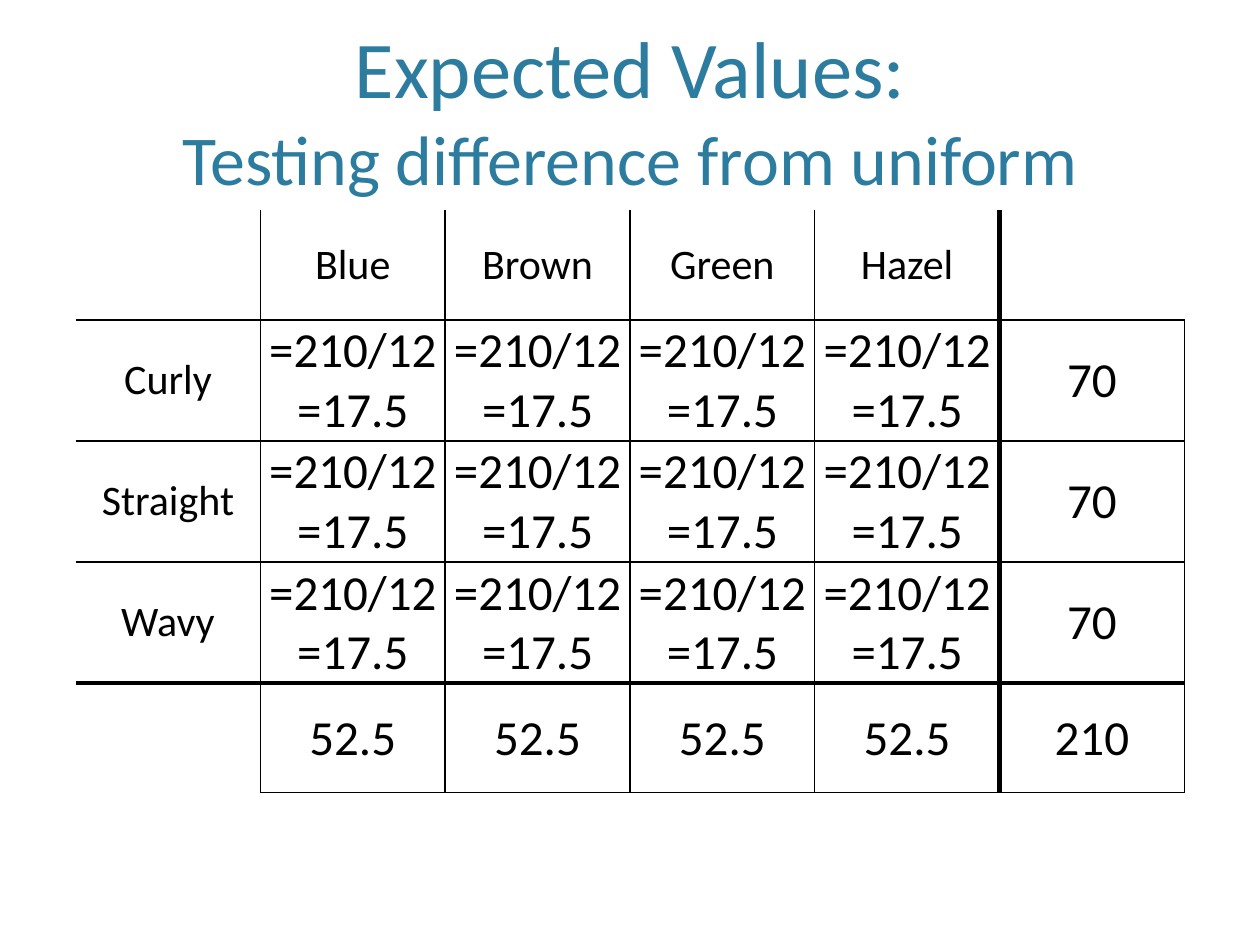
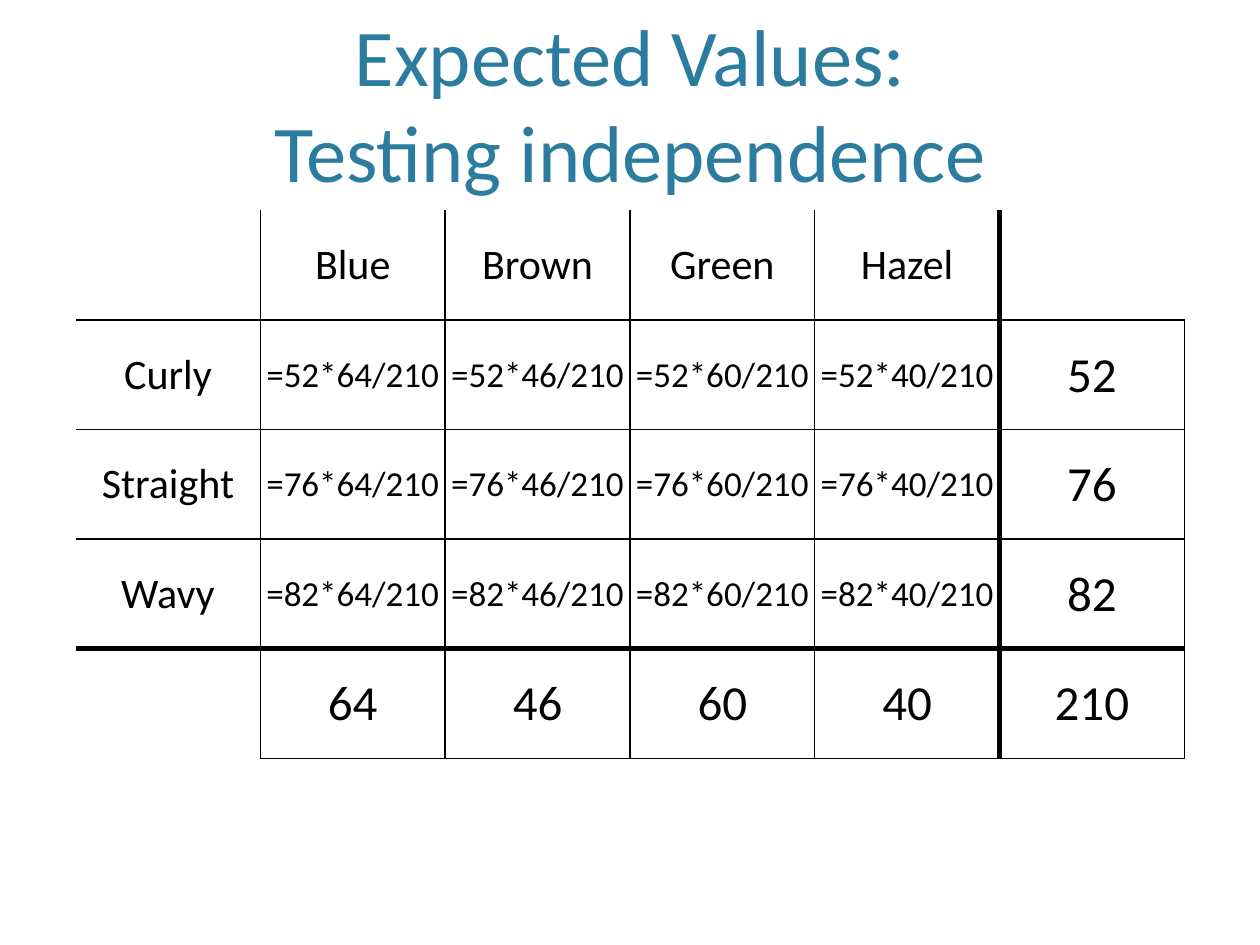
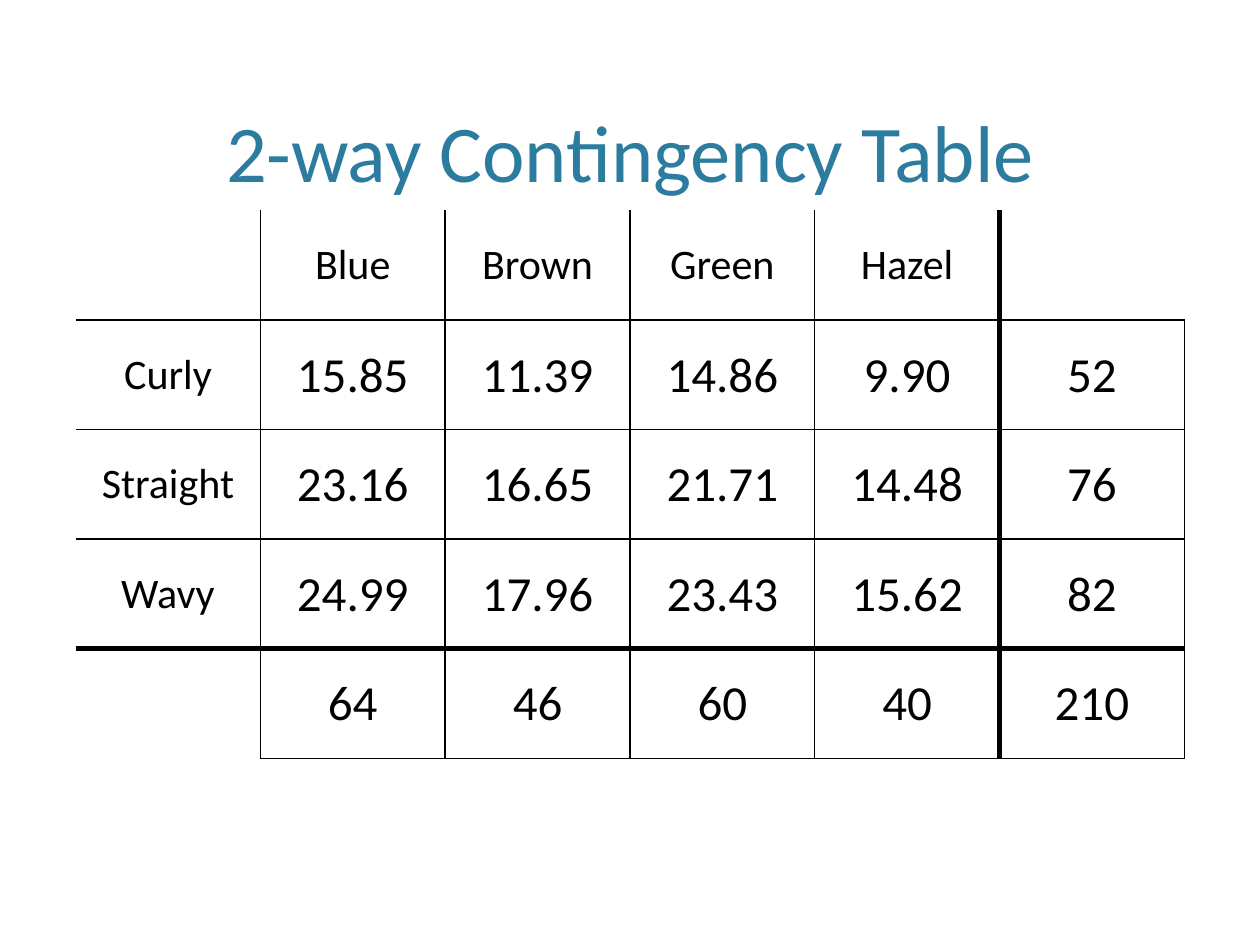
from lxml.etree import SubElement
from pptx import Presentation
from pptx.dml.color import RGBColor
from pptx.enum.text import MSO_ANCHOR, MSO_AUTO_SIZE, PP_ALIGN
from pptx.oxml.ns import qn
from pptx.util import Inches, Pt

FONT = "Calibri"
TITLE_COLOR = "2C7C9F"
INK = "000000"
TITLE_SIZE, LABEL_SIZE, VALUE_SIZE, FORMULA_SIZE = 46, 24, 28, 20
THIN, THICK = 1, 3

LEFT, WIDTH = 0.6, 8.8
TITLE_TOP, TITLE_HEIGHT = 0.12, 1.46
TABLE_TOP, ROW_HEIGHT = 1.67, 0.87

EYE_COLORS = ["Blue", "Brown", "Green", "Hazel"]
HAIR_TYPES = ["Curly", "Straight", "Wavy"]
GRAND_TOTAL = 210
HAIR_TOTALS = [52, 76, 82]
EYE_TOTALS = [64, 46, 60, 40]

SLIDES = [
    {
        "title": [("Expected Values:", TITLE_SIZE), ("Testing difference from uniform", 40)],
        "expected": [["=210/12=17.5"] * len(EYE_COLORS) for _ in HAIR_TYPES],
        "expected_size": VALUE_SIZE,
        "hair_totals": [70] * len(HAIR_TYPES),
        "eye_totals": [52.5] * len(EYE_COLORS),
    },
    {
        "title": [("Expected Values:", TITLE_SIZE), ("Testing independence", TITLE_SIZE)],
        "expected": [[f"={hair}*{eye}/{GRAND_TOTAL}" for eye in EYE_TOTALS] for hair in HAIR_TOTALS],
        "expected_size": FORMULA_SIZE,
        "hair_totals": HAIR_TOTALS,
        "eye_totals": EYE_TOTALS,
    },
    {
        "title": [("2-way Contingency Table", TITLE_SIZE)],
        "expected": [[f"{hair * eye / GRAND_TOTAL:.2f}" for eye in EYE_TOTALS] for hair in HAIR_TOTALS],
        "expected_size": VALUE_SIZE,
        "hair_totals": HAIR_TOTALS,
        "eye_totals": EYE_TOTALS,
    },
]

LAST_ROW = len(HAIR_TYPES) + 1
LAST_COL = len(EYE_COLORS) + 1


def rgb(color):
    return RGBColor.from_string(color)


def add_run(paragraph, text, size, color):
    run = paragraph.add_run()
    run.text = text
    run.font.name = FONT
    run.font.size = Pt(size)
    run.font.color.rgb = rgb(color)


def fill_title(title, lines):
    title.left, title.top = Inches(LEFT), Inches(TITLE_TOP)
    title.width, title.height = Inches(WIDTH), Inches(TITLE_HEIGHT)
    frame = title.text_frame
    frame.auto_size = MSO_AUTO_SIZE.NONE
    frame.word_wrap = True
    frame.vertical_anchor = MSO_ANCHOR.BOTTOM
    frame.margin_bottom = 0
    paragraph = frame.paragraphs[0]
    paragraph.alignment = PP_ALIGN.CENTER
    for index, (text, size) in enumerate(lines):
        if index:
            paragraph.add_line_break()
        add_run(paragraph, text, size, TITLE_COLOR)


def border_widths(row, col):
    """Widths by side: heavy rules set off the totals, and the outer edges of the labels stay open."""
    return {
        "L": 0 if col == 0 else THICK if col == LAST_COL else THIN,
        "R": 0 if (row, col) == (0, LAST_COL) else THICK if col == LAST_COL - 1 else THIN,
        "T": 0 if row == 0 else THICK if row == LAST_ROW else THIN,
        "B": 0 if (row, col) == (LAST_ROW, 0) else THICK if row == LAST_ROW - 1 else THIN,
    }


def draw_borders(cell, widths):
    properties = cell._tc.get_or_add_tcPr()
    for side, width in widths.items():
        line = SubElement(properties, qn(f"a:ln{side}"), w=str(Pt(width)))
        if width:
            fill = SubElement(line, qn("a:solidFill"))
            SubElement(fill, qn("a:srgbClr"), val=INK)
        else:
            SubElement(line, qn("a:noFill"))


def fill_cell(cell, text, size, is_label):
    cell.vertical_anchor = MSO_ANCHOR.MIDDLE
    if not is_label:
        cell.margin_left = cell.margin_right = cell.margin_top = Inches(0.01)
        cell.margin_bottom = 0
    paragraph = cell.text_frame.paragraphs[0]
    paragraph.alignment = PP_ALIGN.CENTER
    add_run(paragraph, text, size, INK)


def add_contingency_table(slide, content):
    rows = [["", *EYE_COLORS, ""]]
    for hair, expected, total in zip(HAIR_TYPES, content["expected"], content["hair_totals"]):
        rows.append([hair, *expected, total])
    rows.append(["", *content["eye_totals"], GRAND_TOTAL])

    table = slide.shapes.add_table(
        len(rows), len(rows[0]), Inches(LEFT), Inches(TABLE_TOP),
        Inches(WIDTH), Inches(ROW_HEIGHT * len(rows)),
    ).table
    table.first_row = table.horz_banding = False
    for column in table.columns:
        column.width = Inches(WIDTH / len(rows[0]))

    for r, values in enumerate(rows):
        table.rows[r].height = Inches(ROW_HEIGHT)
        for c, value in enumerate(values):
            cell = table.cell(r, c)
            draw_borders(cell, border_widths(r, c))
            cell.fill.background()
            if value == "":
                continue
            is_label = r == 0 or c == 0
            is_total = r == LAST_ROW or c == LAST_COL
            size = LABEL_SIZE if is_label else VALUE_SIZE if is_total else content["expected_size"]
            fill_cell(cell, str(value), size, is_label)


def main():
    presentation = Presentation()
    presentation.slide_width, presentation.slide_height = Inches(10), Inches(7.5)
    title_only = presentation.slide_layouts[5]
    for content in SLIDES:
        slide = presentation.slides.add_slide(title_only)
        fill_title(slide.shapes.title, content["title"])
        add_contingency_table(slide, content)
    presentation.save("out.pptx")


if __name__ == "__main__":
    main()
